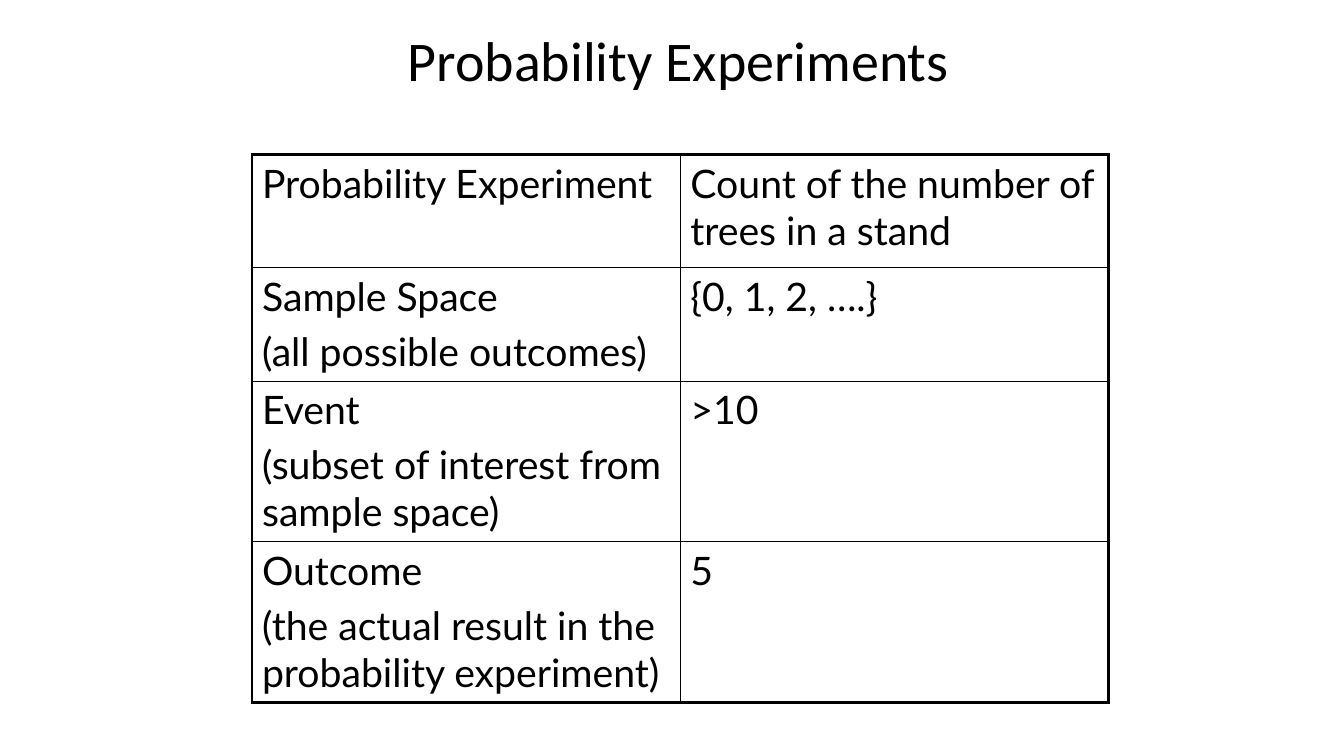
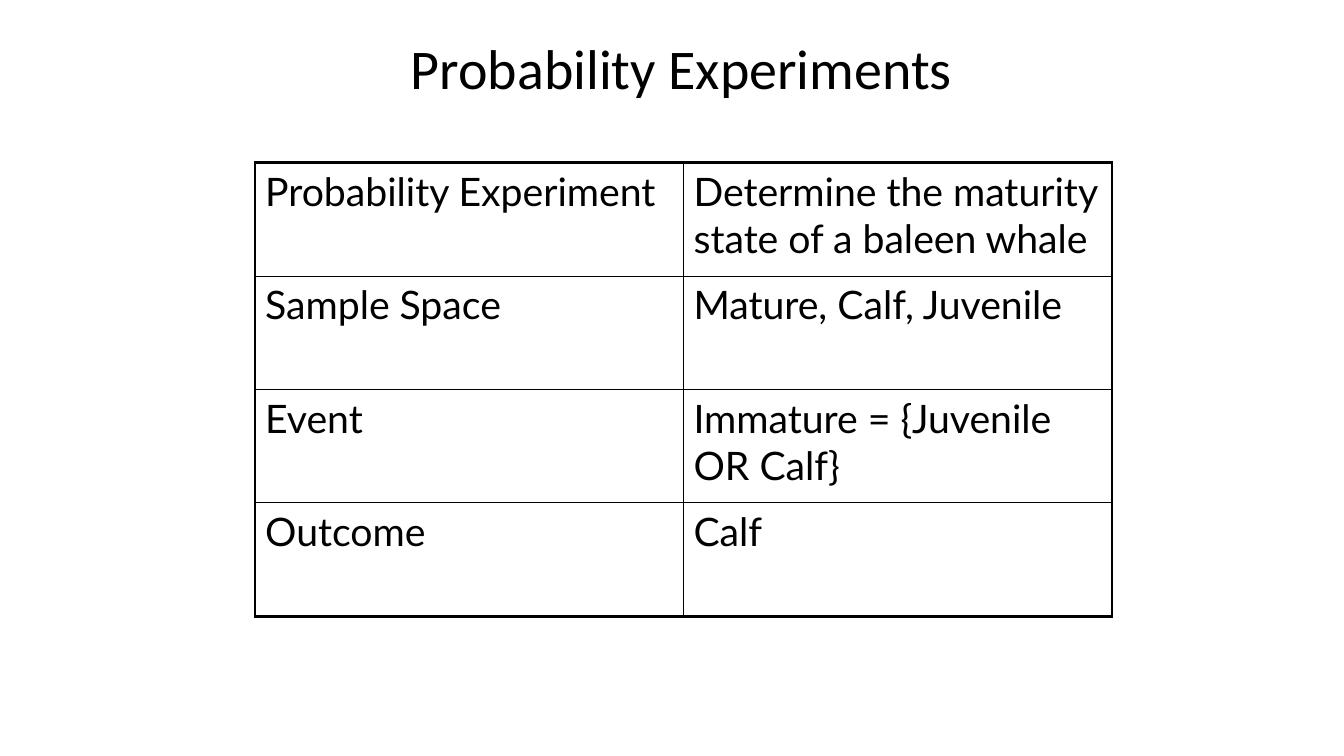
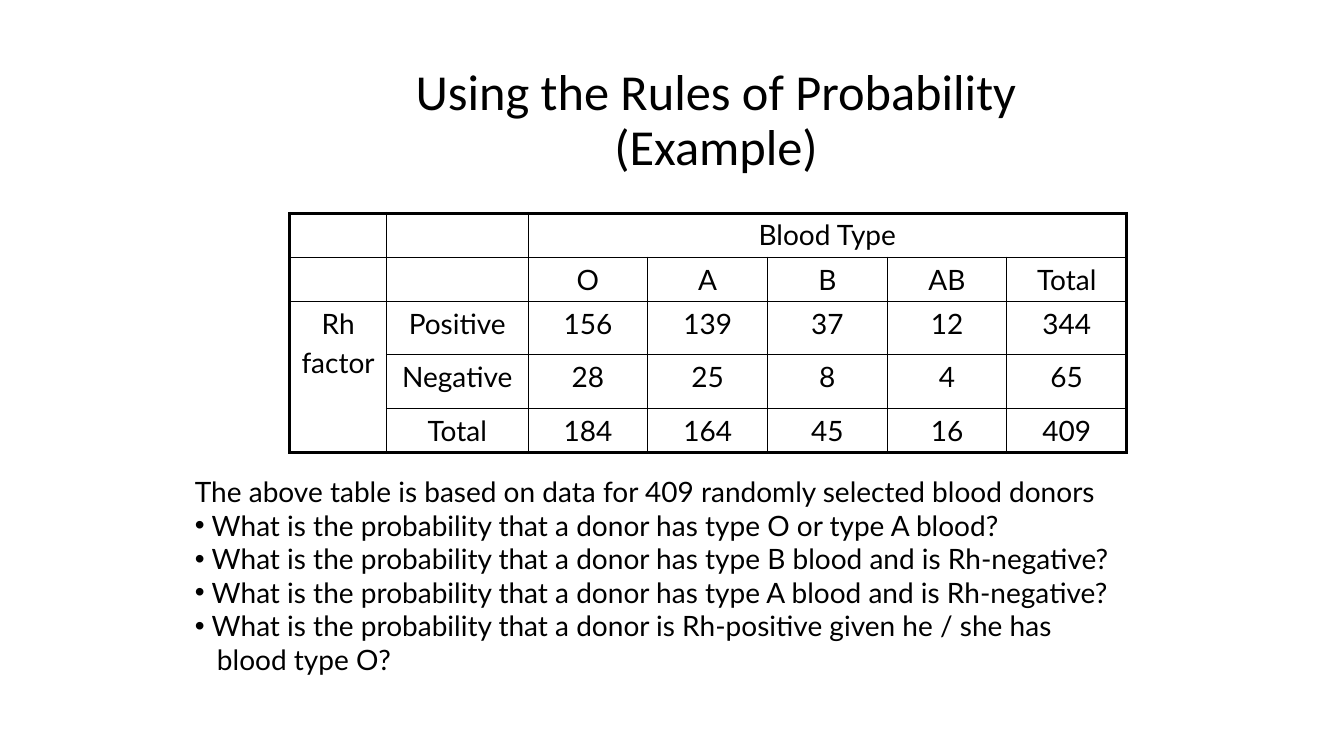
from lxml import etree
from pptx import Presentation
from pptx.dml.color import RGBColor
from pptx.enum.text import MSO_ANCHOR, MSO_AUTO_SIZE, PP_ALIGN
from pptx.oxml.ns import qn
from pptx.util import Pt

PX = 9525
BLACK = RGBColor(0x00, 0x00, 0x00)
TITLE_FONT = "Calibri"
BODY_FONT = "Lato"
THIN, THICK = Pt(1), Pt(2.25)
LEFT, CENTER = PP_ALIGN.LEFT, PP_ALIGN.CENTER
MIDDLE, TOP = MSO_ANCHOR.MIDDLE, MSO_ANCHOR.TOP
NO_AUTOFIT = MSO_AUTO_SIZE.NONE
TITLE_ONLY, TITLE_AND_CONTENT = 5, 1


def add_run(para, text, size, font_name):
    run = para.add_run()
    run.text = text
    run.font.size = Pt(size)
    run.font.name = font_name
    run.font.color.rgb = BLACK


def set_borders(cell, widths):
    properties = cell._tc.get_or_add_tcPr()
    for position, (side, width) in enumerate(widths.items()):
        line = etree.Element(qn(f"a:ln{side}"), w=str(width))
        fill = etree.SubElement(line, qn("a:solidFill"))
        etree.SubElement(fill, qn("a:srgbClr"), val=str(BLACK))
        properties.insert(position, line)


pages = [
    {
        "layout": TITLE_ONLY,
        "title": ["Probability Experiments"],
        "title_size": 40,
        "title_at": (237, 0),
        "table_at": (240, 147),
        "columns": [408, 408],
        "rows": [108, 108, 153, 153],
        "size": 28,
        "align": LEFT,
        "merges": [],
        "cells": [
            ["Probability Experiment", "Count of the number of trees in a stand"],
            ["Sample Space\n(all possible outcomes)", "{0, 1, 2, ….}"],
            ["Event\n(subset of interest from sample space)", ">10"],
            ["Outcome\n(the actual result in the probability experiment)", "5"],
        ],
    },
    {
        "layout": TITLE_ONLY,
        "title": ["Probability Experiments"],
        "title_size": 40,
        "title_at": (240, 8),
        "table_at": (243, 155),
        "columns": [408, 408],
        "rows": [108] * 4,
        "size": 28,
        "align": LEFT,
        "merges": [],
        "cells": [
            ["Probability Experiment", "Determine the maturity state of a baleen whale"],
            ["Sample Space", "Mature, Calf, Juvenile"],
            ["Event", "Immature = {Juvenile OR Calf}"],
            ["Outcome", "Calf"],
        ],
    },
    {
        "layout": TITLE_AND_CONTENT,
        "title": ["Using the Rules of Probability", "(Example)"],
        "title_size": 36,
        "title_at": (273, 56),
        "table_at": (276, 203),
        "columns": [92, 135] + [114] * 5,
        "rows": [42, 42, 51, 51, 42],
        "size": 20,
        "align": CENTER,
        "merges": [((0, 2), (0, 6)), ((2, 0), (4, 0))],
        "cells": [
            ["", "", "Blood Type", "", "", "", ""],
            ["", "", "O", "A", "B", "AB", "Total"],
            ["Rh\nfactor", "Positive", "156", "139", "37", "12", "344"],
            ["", "Negative", "28", "25", "8", "4", "65"],
            ["", "Total", "184", "164", "45", "16", "409"],
        ],
    },
]

deck = Presentation()
deck.slide_width = 1280 * PX
deck.slide_height = 720 * PX

for page in pages:
    slide = deck.slides.add_slide(deck.slide_layouts[page["layout"]])

    title = slide.shapes.title
    title.left, title.top = (length * PX for length in page["title_at"])
    title.width, title.height = 818 * PX, 120 * PX
    title.text_frame.auto_size = NO_AUTOFIT
    title.text_frame.vertical_anchor = MIDDLE
    para = title.text_frame.paragraphs[0]
    para.alignment = CENTER
    para.line_spacing = 0.9
    for index, text in enumerate(page["title"]):
        if index:
            para.add_line_break()
        add_run(para, text, page["title_size"], TITLE_FONT)

    columns, rows, size = page["columns"], page["rows"], page["size"]
    left, top = page["table_at"]
    table = slide.shapes.add_table(
        len(rows), len(columns), left * PX, top * PX, sum(columns) * PX, sum(rows) * PX
    ).table
    table.first_row = False
    table.horz_banding = False
    for column, width in zip(table.columns, columns):
        column.width = width * PX
    for row, height in zip(table.rows, rows):
        row.height = height * PX
    for first, last in page["merges"]:
        table.cell(*first).merge(table.cell(*last))

    for row_index, texts in enumerate(page["cells"]):
        for column_index, text in enumerate(texts):
            cell = table.cell(row_index, column_index)
            cell.fill.background()
            if cell.is_spanned:
                continue
            row_end = row_index + cell.span_height
            column_end = column_index + cell.span_width
            set_borders(cell, {
                "L": THICK if column_index == 0 else THIN,
                "R": THICK if column_end == len(columns) else THIN,
                "T": THICK if row_index == 0 else THIN,
                "B": THICK if row_end == len(rows) else THIN,
            })
            for line_index, line_text in enumerate(text.splitlines()):
                frame = cell.text_frame
                para = frame.add_paragraph() if line_index else frame.paragraphs[0]
                para.alignment = page["align"]
                if line_index:
                    para.space_before = Pt(size * 0.2)
                add_run(para, line_text, size, BODY_FONT)

questions = [
    ("The above table is based on data for 409 randomly selected blood donors", False, 0),
    ("What is the probability that a donor has type O or type A blood?", True, 16),
    ("What is the probability that a donor has type B blood and is Rh-negative?", True, 16),
    ("What is the probability that a donor has type A blood and is Rh-negative?", True, 16),
    ("What is the probability that a donor is Rh-positive given he / she has", True, 16),
    ("blood type O?", False, 21),
]
body = slide.placeholders[1]
body.left, body.top = 176 * PX, 447 * PX
body.width, body.height = 920 * PX, 202 * PX
frame = body.text_frame
frame.word_wrap = True
frame.auto_size = NO_AUTOFIT
frame.vertical_anchor = TOP
for index, (text, bulleted, margin) in enumerate(questions):
    para = frame.add_paragraph() if index else frame.paragraphs[0]
    properties = para._p.get_or_add_pPr()
    properties.set("marL", str(margin * PX))
    properties.set("indent", str(-margin * PX if bulleted else 0))
    if bulleted:
        etree.SubElement(properties, qn("a:buFont"), typeface="Arial")
        etree.SubElement(properties, qn("a:buChar"), char="•")
    else:
        etree.SubElement(properties, qn("a:buNone"))
    para.alignment = LEFT
    para.space_before = Pt(0)
    add_run(para, text, 20, BODY_FONT)

deck.save("out.pptx")
